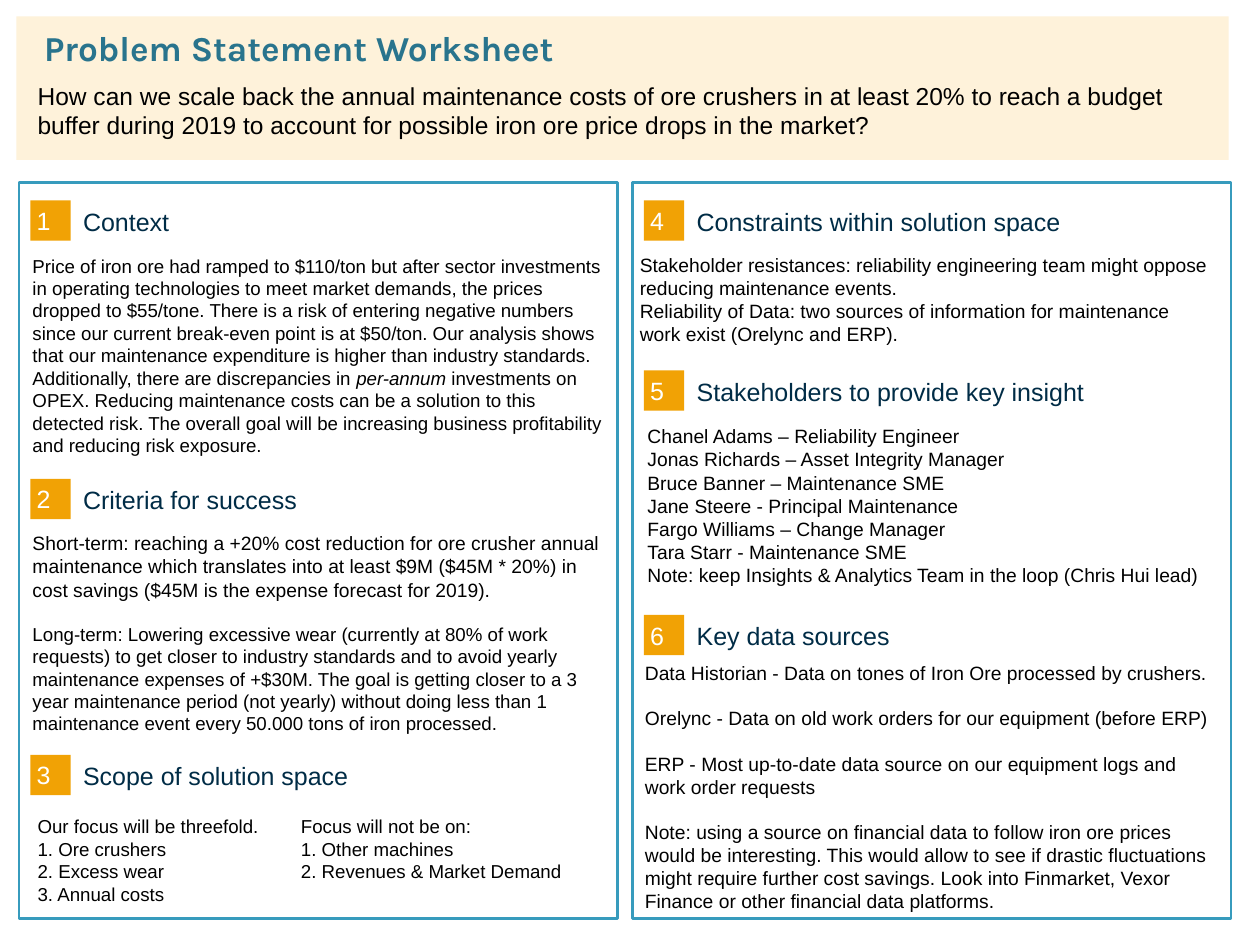
from dataclasses import dataclass

from pptx import Presentation
from pptx.dml.color import RGBColor
from pptx.enum.shapes import MSO_SHAPE
from pptx.enum.text import MSO_ANCHOR
from pptx.util import Inches, Pt


@dataclass(frozen=True)
class Theme:
    """Colours, fonts and type sizes of the worksheet."""
    white: str = "FFFFFF"
    black: str = "000000"
    navy: str = "002C46"
    teal: str = "29748D"
    frame: str = "379BBD"
    orange: str = "F1A205"
    cream: str = "FEF2DA"
    body_font: str = "Arial"
    title_font: str = "Karla"
    title: float = 20
    question: float = 14
    heading: float = 14.3
    body: float = 11
    small: float = 10.7


class Worksheet:
    """Draws worksheet elements on one slide in one style."""

    def __init__(self, slide, theme):
        self.slide = slide
        self.theme = theme

    def fill_text(self, shape, paragraphs, size, color, inset=(0.1, 0.05),
                  anchor=MSO_ANCHOR.TOP, font=None, bold=False, gap=0):
        """Fill a shape with paragraphs; underscores enclose italic words."""
        frame = shape.text_frame
        frame.word_wrap = True
        frame.vertical_anchor = anchor
        frame.margin_left = frame.margin_right = Inches(inset[0])
        frame.margin_top = frame.margin_bottom = Inches(inset[1])
        for index, text in enumerate(paragraphs):
            paragraph = frame.add_paragraph() if index else frame.paragraphs[0]
            if index:
                paragraph.space_before = Pt(gap)
            for part, words in enumerate(text.split("_")):
                run = paragraph.add_run()
                run.text = words
                run.font.name = font or self.theme.body_font
                run.font.size = Pt(size)
                run.font.bold = bold
                run.font.italic = part % 2 == 1
                run.font.color.rgb = RGBColor.from_string(color)
            paragraph.alignment = 1

    def box(self, position, fill, line=None, kind=MSO_SHAPE.RECTANGLE):
        """Add a filled shape with an optional outline."""
        shape = self.slide.shapes.add_shape(kind, *map(Inches, position))
        shape.shadow.inherit = False
        shape.fill.solid()
        shape.fill.fore_color.rgb = RGBColor.from_string(fill)
        if line:
            shape.line.color.rgb = RGBColor.from_string(line)
            shape.line.width = Pt(1.5)
        else:
            shape.line.fill.background()
        return shape

    def text(self, position, paragraphs, size, color=None, **style):
        """Add a wrapping text box."""
        shape = self.slide.shapes.add_textbox(*map(Inches, position))
        self.fill_text(shape, paragraphs, size, color or self.theme.black, **style)
        return shape

    def heading(self, left, top, number, label):
        """Add a numbered square and its section heading."""
        square = self.box((left, top, 0.32, 0.32), self.theme.orange)
        self.fill_text(square, [str(number)], self.theme.heading, self.theme.white,
                       inset=(0.05, 0.05), anchor=MSO_ANCHOR.MIDDLE)
        self.text((left + 0.42, top + 0.04, 3.93, 0.25), [label], self.theme.heading,
                  self.theme.navy, inset=(0, 0), anchor=MSO_ANCHOR.MIDDLE)


theme = Theme()
presentation = Presentation()
presentation.slide_width = Inches(10)
presentation.slide_height = Inches(7.5)
slide = presentation.slides.add_slide(presentation.slide_layouts[6])
worksheet = Worksheet(slide, theme)

banner = worksheet.box((0.13, 0.13, 9.62, 1.14), theme.cream,
                       kind=MSO_SHAPE.RECTANGULAR_CALLOUT)
banner.adjustments[0] = 0.5
banner.adjustments[1] = -0.44
worksheet.text((0.35, 0.21, 9.4, 0.34), ["Problem Statement Worksheet"], theme.title,
               theme.teal, inset=(0, 0), font=theme.title_font, bold=True)
worksheet.text((0.2, 0.59, 9.15, 0.54), [
    "How can we scale back the annual maintenance costs of ore crushers in at least 20% "
    "to reach a budget buffer during 2019 to account for possible iron ore price drops "
    "in the market?"], theme.question)

for panel_left in (0.15, 5.02):
    worksheet.box((panel_left, 1.45, 4.75, 5.84), theme.white, theme.frame)

columns = [
    (0.24, [(1.59, "Context"), (3.8, "Criteria for success"),
            (5.99, "Scope of solution space")]),
    (5.11, [(1.59, "Constraints within solution space"),
            (2.94, "Stakeholders to provide key insight"),
            (4.88, "Key data sources")]),
]
number = 0
for left, headings in columns:
    for top, label in headings:
        number += 1
        worksheet.heading(left, top, number, label)

worksheet.text((0.16, 1.97, 4.73, 1.64), [
    "Price of iron ore had ramped to $110/ton but after sector investments in operating "
    "technologies to meet market demands, the prices dropped to $55/tone. There is a risk "
    "of entering negative numbers since our current break-even point is at $50/ton. Our "
    "analysis shows that our maintenance expenditure is higher than industry standards. "
    "Additionally, there are discrepancies in _per-annum_ investments on OPEX. Reducing "
    "maintenance costs can be a solution to this detected risk. The overall goal will be "
    "increasing business profitability and reducing risk exposure."], theme.small)

criteria = worksheet.text((0.16, 4.17, 4.73, 1.54), [
    "Short-term: reaching a +20% cost reduction for ore crusher annual maintenance which "
    "translates into at least $9M ($45M * 20%) in cost savings ($45M is the expense "
    "forecast for 2019).",
    "Long-term: Lowering excessive wear (currently at 80% of work requests) to get closer "
    "to industry standards and to avoid yearly maintenance expenses of +$30M. The goal is "
    "getting closer to a 3 year maintenance period (not yearly) without doing less than 1 "
    "maintenance event every 50.000 tons of iron processed."], theme.small, gap=12.3)
criteria.text_frame.paragraphs[0].runs[0].font.size = Pt(theme.body)

worksheet.text((0.2, 6.42, 2.05, 0.82), [
    "Our focus will be threefold.", "1. Ore crushers", "2. Excess wear",
    "3. Annual costs"], theme.small)
worksheet.text((2.29, 6.42, 2.45, 0.82), [
    "Focus will not be on:", "1. Other machines", "2. Revenues & Market Demand"],
    theme.small)

worksheet.text((4.98, 1.96, 4.73, 0.82), [
    "Stakeholder resistances: reliability engineering team might oppose reducing "
    "maintenance events.",
    "Reliability of Data: two sources of information for maintenance work exist "
    "(Orelync and ERP)."], theme.body)

worksheet.text((5.04, 3.32, 4.73, 1.59), [
    "Chanel Adams – Reliability Engineer",
    "Jonas Richards – Asset Integrity Manager",
    "Bruce Banner – Maintenance SME",
    "Jane Steere - Principal Maintenance",
    "Fargo Williams – Change Manager",
    "Tara Starr - Maintenance SME",
    "Note: keep Insights & Analytics Team in the loop (Chris Hui lead)"], theme.body)

worksheet.text((5.02, 5.2, 4.73, 1.91), [
    "Data Historian - Data on tones of Iron Ore processed by crushers.",
    "Orelync - Data on old work orders for our equipment (before ERP)",
    "ERP - Most up-to-date data source on our equipment logs and work order requests",
    "Note: using a source on financial data to follow iron ore prices would be "
    "interesting. This would allow to see if drastic fluctuations might require further "
    "cost savings. Look into Finmarket, Vexor Finance or other financial data platforms."],
    theme.body, gap=12.6)

presentation.save("out.pptx")
